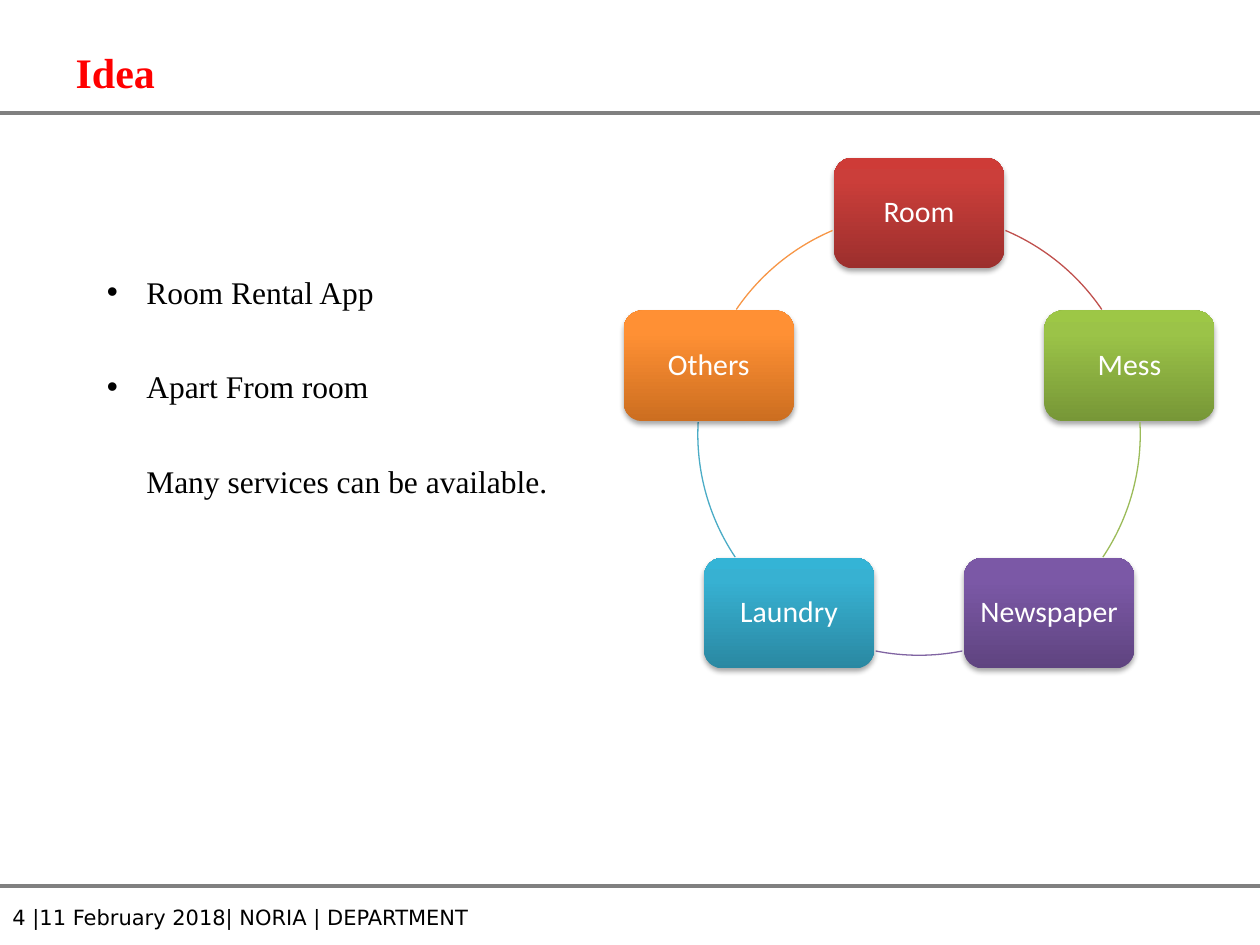
from pptx import Presentation
from pptx.util import Pt
from pptx.dml.color import RGBColor
from pptx.enum import shapes, text
from pptx.oxml import parse_xml
from pptx.oxml.ns import nsdecls
from copy import deepcopy
from math import cos, sin, radians

HEX = {"red": "FF0000", "black": "000000", "white": "FFFFFF", "rule": "808080"}
NODES = [
    ("Room", "C0504D", ("9C2F2D", "CB3E3A", "CE3B37")),
    ("Mess", "9BBB59", ("779737", "9BC348", "9DC746")),
    ("Newspaper", "8064A2", ("5F4480", "7B58A6", "7C57A8")),
    ("Laundry", "4BACC6", ("2A88A2", "37B1D2", "34B4D6")),
    ("Others", "F79646", ("CC6E20", "FF9034", "FF9136")),
]
ARCS = [(293, 325.7), (356.9, 33.8), (78.7, 101.3), (146.2, 183.1), (214.3, 247)]
MID_X, MID_Y, RAD = 525.2, 248.1, 126.4
BOX_W, BOX_H = 97.2, 63.2
SERIF = "Times New Roman"


def rgb(code):
    return RGBColor.from_string(code)


def write(para, words, font=SERIF, size=18, color="black", bold=False,
          align=text.PP_ALIGN.LEFT, space=None):
    run = para.add_run()
    run.text = words
    run.font.name, run.font.size, run.font.bold = font, Pt(size), bold
    run.font.color.rgb = rgb(HEX[color])
    para.alignment = align
    if space:
        para.line_spacing = space


def add_box(slide, x, y, w, h):
    frame = slide.shapes.add_textbox(Pt(x), Pt(y), Pt(w), Pt(h)).text_frame
    frame.word_wrap = True
    return frame


def add_rule(slide, y):
    line = slide.shapes.add_connector(shapes.MSO_CONNECTOR.STRAIGHT, 0, Pt(y), Pt(720), Pt(y))
    line.line.color.rgb = rgb(HEX["rule"])
    line.line.width = Pt(2.25)
    line._element.spPr.append(parse_xml(f"<a:effectLst {nsdecls('a')}/>"))


def shade(shape, colors):
    fill = shape.fill
    fill.gradient()
    fill.gradient_angle = 90
    first = fill.gradient_stops[0]._gs
    first.addnext(deepcopy(first))
    for stop, pos, code in zip(fill.gradient_stops, (0, 0.8, 1), colors):
        stop.position = pos
        stop.color.rgb = rgb(code)


def add_shadow(shape):
    shape.shadow.inherit = False
    shape._element.spPr.find(".//{*}effectLst").append(parse_xml(
        f'<a:outerShdw {nsdecls("a")} blurRad="{Pt(3.1)}" dist="{Pt(1.8)}" dir="5400000" '
        'rotWithShape="0"><a:srgbClr val="000000"><a:alpha val="35000"/></a:srgbClr></a:outerShdw>'))


def add_node(slide, turn, label, colors):
    x = MID_X + RAD * cos(radians(turn)) - BOX_W / 2
    y = MID_Y + RAD * sin(radians(turn)) - BOX_H / 2
    node = slide.shapes.add_shape(shapes.MSO_SHAPE.ROUNDED_RECTANGLE,
                                  Pt(x), Pt(y), Pt(BOX_W), Pt(BOX_H))
    shade(node, colors)
    node.line.fill.background()
    add_shadow(node)
    frame = node.text_frame
    frame.margin_left = frame.margin_right = Pt(5)
    frame.vertical_anchor = text.MSO_ANCHOR.MIDDLE
    write(frame.paragraphs[0], label, font="Calibri", size=17, color="white",
          align=text.PP_ALIGN.CENTER, space=0.9)


def add_arc(slide, start, end, color):
    arc = slide.shapes.add_shape(shapes.MSO_SHAPE.ARC, Pt(MID_X - RAD), Pt(MID_Y - RAD),
                                 Pt(2 * RAD), Pt(2 * RAD))
    arc.adjustments[0], arc.adjustments[1] = start * 0.6, end * 0.6
    arc.fill.background()
    arc.line.color.rgb = rgb(color)
    arc.line.width = Pt(0.75)
    arc.shadow.inherit = False


def add_item(para, words, dot):
    write(para, words, space=2.5)
    props = para._p.get_or_add_pPr()
    props.set("marL", str(Pt(22.5)))
    props.set("indent", str(Pt(-22.5 if dot else 0)))
    if dot:
        props.append(parse_xml(f'<a:buFont {nsdecls("a")} typeface="Arial"/>'))
        props.append(parse_xml(f'<a:buChar {nsdecls("a")} char="•"/>'))


def add_list(slide):
    frame = add_box(slide, 54, 120, 336, 170.6)
    frame.auto_size = text.MSO_AUTO_SIZE.SHAPE_TO_FIT_TEXT
    items = [("Room Rental App", True), ("Apart From room", True),
             ("Many services can be available.", False)]
    for i, (words, dot) in enumerate(items):
        add_item(frame.add_paragraph() if i else frame.paragraphs[0], words, dot)


def add_title(slide, words):
    title = slide.shapes.title
    title.left, title.top, title.width, title.height = Pt(36), Pt(21.6), Pt(600), Pt(38.2)
    title.text_frame.vertical_anchor = text.MSO_ANCHOR.MIDDLE
    write(title.text_frame.paragraphs[0], words, size=24, color="red", bold=True)


def main():
    deck = Presentation()
    deck.slide_width, deck.slide_height = Pt(720), Pt(540)
    slide = deck.slides.add_slide(deck.slide_layouts[5])
    foot = add_box(slide, 0, 513.4, 360.7, 16.6)
    write(foot.paragraphs[0], "4 |11 February 2018| NORIA | DEPARTMENT",
          font="DejaVu Sans", size=12)
    for y in (64.8, 506.2):
        add_rule(slide, y)
    add_title(slide, "Idea")
    for i, ((label, color, colors), (start, end)) in enumerate(zip(NODES, ARCS)):
        add_node(slide, 72 * i - 90, label, colors)
        add_arc(slide, start, end, color)
    add_list(slide)
    deck.save("out.pptx")


if __name__ == "__main__":
    main()
